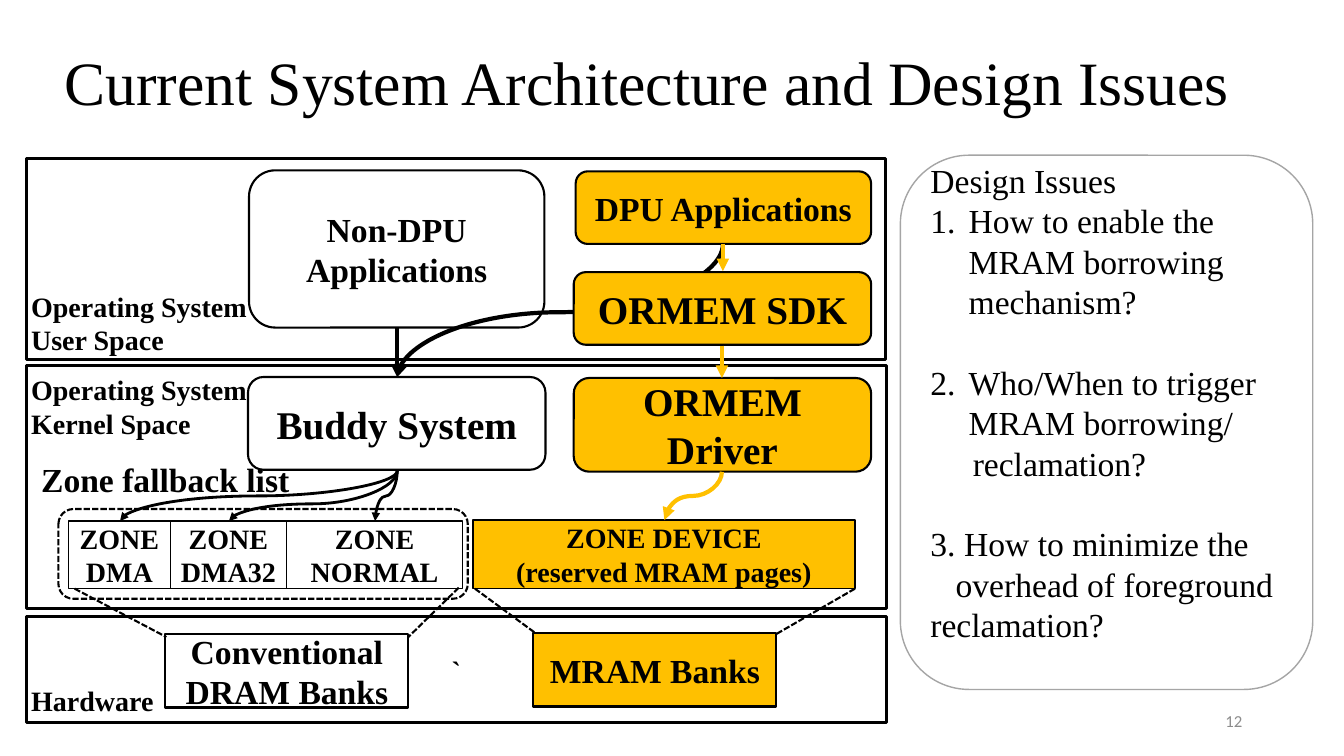
from lxml import etree
from pptx import Presentation
from pptx.dml.color import RGBColor
from pptx.enum.dml import MSO_LINE
from pptx.enum.shapes import MSO_CONNECTOR, MSO_SHAPE
from pptx.enum.text import MSO_ANCHOR, PP_ALIGN
from pptx.oxml.ns import qn
from pptx.util import Pt

PX = 9144
SERIF = "Times New Roman"
COLORS = {"ink": "000000", "paper": "FFFFFF", "amber": "FFC000",
          "frame": "A5A5A5", "number": "8C8C8C"}
RECT, ROUND = MSO_SHAPE.RECTANGLE, MSO_SHAPE.ROUNDED_RECTANGLE


def px(*lengths):
    return [length * PX for length in lengths]


def rgb(name):
    return RGBColor.from_string(COLORS[name])


def add_run(paragraph, text, size, bold=True, color="ink", font=SERIF):
    run = paragraph.add_run()
    run.text = text
    run.font.name = font
    run.font.size = Pt(size)
    run.font.bold = bold
    run.font.color.rgb = rgb(color)


def write(frame, lines, size, align=PP_ALIGN.CENTER, anchor=MSO_ANCHOR.MIDDLE, **style):
    frame.word_wrap = True
    frame.vertical_anchor = anchor
    for index, line in enumerate(lines):
        paragraph = frame.paragraphs[0] if index == 0 else frame.add_paragraph()
        paragraph.alignment = align
        add_run(paragraph, line, size, **style)
    return frame


def block(slide, box, lines=(), size=20, kind=RECT, fill="paper", line="ink",
          weight=1.5, dashed=False):
    shape = slide.shapes.add_shape(kind, *px(*box))
    shape.shadow.inherit = False
    if fill:
        shape.fill.solid()
        shape.fill.fore_color.rgb = rgb(fill)
    else:
        shape.fill.background()
    shape.line.color.rgb = rgb(line)
    shape.line.width = Pt(weight)
    if dashed:
        shape.line.dash_style = MSO_LINE.SQUARE_DOT
    write(shape.text_frame, lines, size)
    return shape


def label(slide, box, lines, size=20, align=PP_ALIGN.LEFT, anchor=MSO_ANCHOR.TOP, **style):
    frame = slide.shapes.add_textbox(*px(*box)).text_frame
    return write(frame, lines, size, align, anchor, **style)


def link(slide, start, end, color="ink", weight=1.5, dashed=False, arrow=False, bend=None):
    kind = MSO_CONNECTOR.STRAIGHT if bend is None else MSO_CONNECTOR.CURVE
    connector = slide.shapes.add_connector(kind, *px(*start, *end))
    properties = connector._element.spPr
    connector.line.color.rgb = rgb(color)
    connector.line.width = Pt(weight)
    if dashed:
        connector.line.dash_style = MSO_LINE.SQUARE_DOT
    if arrow:
        etree.SubElement(properties.find(qn("a:ln")), qn("a:tailEnd"), type="triangle")
    etree.SubElement(properties, qn("a:effectLst"))
    if bend is not None:
        turn_downward(connector, start, end, bend)


def turn_downward(connector, start, end, bend):
    across, down = start[0] - end[0], end[1] - start[1]
    center_x, center_y = (start[0] + end[0]) / 2, (start[1] + end[1]) / 2
    connector.left = round((center_x - down / 2) * PX)
    connector.top = round((center_y - across / 2) * PX)
    connector.width, connector.height = px(down, across)
    properties = connector._element.spPr
    frame = properties.find(qn("a:xfrm"))
    frame.attrib.pop("flipH", None)
    frame.set("rot", "5400000")
    guides = properties.find(qn("a:prstGeom")).get_or_add_avLst()
    etree.SubElement(guides, qn("a:gd"), name="adj1", fmla=f"val {bend * 1000}")


def heading(slide, box):
    frame = label(slide, box, ["Current System Architecture and Design Issues"], 44,
                  anchor=MSO_ANCHOR.MIDDLE, bold=False)
    frame.paragraphs[0].line_spacing = 0.9


def user_space(slide, box):
    x, y, w, h = box
    block(slide, box, weight=2)
    label(slide, (x - 5, y + 125, 239, 111), ["Operating System User Space"])
    block(slide, (x + 221, y + 12, 293, 156), ["Non-DPU Applications"], 24, ROUND)


def kernel_space(slide, box):
    x, y, w, h = box
    block(slide, box, weight=2)
    label(slide, (x - 5, y + 2, 481, 77), ["Operating System", "Kernel Space"])
    block(slide, (x + 220, y + 11, 295, 92), ["Buddy System"], 28, ROUND)
    block(slide, (x + 32, y + 142, 406, 89), kind=ROUND, dashed=True)
    zone_x = x + 42
    for width, suffix in ((101, "DMA"), (115, "DMA32"), (175, "NORMAL")):
        block(slide, (zone_x, y + 154, width, 67), ["ZONE", suffix], fill=None, weight=1)
        zone_x += width
    block(slide, (x + 443, y + 153, 379, 68), ["ZONE DEVICE", "(reserved MRAM pages)"],
          fill="amber", weight=1)
    label(slide, (x + 5, y + 87, 313, 50), ["Zone fallback list"], 24)


def hardware(slide, box):
    x, y, w, h = box
    block(slide, box, ["`"], weight=2)
    label(slide, (x - 5, y + 61, 149, 44), ["Hardware"])
    block(slide, (x + 138, y + 17, 241, 73), ["Conventional", "DRAM Banks"], 24, fill=None)
    block(slide, (x + 503, y + 16, 241, 73), ["MRAM Banks"], 24, fill="amber")


def memory_mapping(slide, box):
    x, y, w, h = box
    for zone_x, zone_y, bank_x, bank_y in ((0, 1, 91, 49), (381, 0, 331, 49),
                                           (397, 1, 457, 45), (774, 1, 696, 46)):
        link(slide, (x + zone_x, y + zone_y), (x + bank_x, y + bank_y), dashed=True)


def allocation_paths(slide, box):
    x, y, w, h = box
    buddy_x = x + 275
    link(slide, (buddy_x, y + 83), (buddy_x, y + 132), weight=3, arrow=True)
    link(slide, (x + w, y), (buddy_x, y + 132), weight=3, arrow=True, bend=51.3)
    for zone_x, bend in ((253, 50), (108, 65.8), (0, 50)):
        link(slide, (buddy_x, y + 225), (x + zone_x, y + h),
             weight=2, arrow=True, bend=bend)


def dpu_stack(slide, box):
    x, y, w, h = box
    block(slide, (x + 2, y, w - 2, 72), ["DPU Applications"], 24, ROUND, "amber")
    block(slide, (x, y + 100, w, 72), ["ORMEM SDK"], 28, ROUND, "amber")
    block(slide, (x, y + 205, w, 93), ["ORMEM Driver"], 28, ROUND, "amber")
    for center, top, bottom in ((148, 72, 99), (147, 173, 205)):
        link(slide, (x + center, y + top), (x + center, y + bottom),
             "amber", 3, arrow=True)
    link(slide, (x + 147, y + 298), (x + 90, y + h), "amber", 3, arrow=True, bend=50)


def design_issues(slide, box):
    panel = block(slide, box, kind=ROUND, line="frame", weight=1)
    frame = panel.text_frame
    frame.margin_bottom = 45 * PX
    issues = (("Design Issues", 0, 0, False, False),
              ("How to enable the MRAM borrowing mechanism?", 38, -38, True, False),
              ("Who/When to trigger MRAM borrowing/", 38, -38, True, True),
              ("reclamation?", 42, 0, False, False),
              ("3. How to minimize the overhead of foreground", 25, -25, False, True),
              ("reclamation?", 0, 0, False, False))
    for index, (text, margin, indent, numbered, gap) in enumerate(issues):
        paragraph = frame.paragraphs[0] if index == 0 else frame.add_paragraph()
        paragraph.alignment = PP_ALIGN.LEFT
        properties = paragraph._p.get_or_add_pPr()
        properties.set("marL", str(margin * PX))
        properties.set("indent", str(indent * PX))
        if numbered:
            etree.SubElement(properties, qn("a:buAutoNum"), type="arabicPeriod")
        if gap:
            paragraph.space_before = Pt(29)
        add_run(paragraph, text, 24, bold=False)


def page_number(slide, box):
    label(slide, box, ["12"], 12, PP_ALIGN.RIGHT, MSO_ANCHOR.MIDDLE,
          bold=False, color="number", font="Calibri")


def main():
    deck = Presentation()
    deck.slide_width, deck.slide_height = px(1333, 750)
    slide = deck.slides.add_slide(deck.slide_layouts[6])
    heading(slide, (54, 12, 1258, 145))
    user_space(slide, (26, 157, 852, 200))
    kernel_space(slide, (26, 363, 853, 241))
    hardware(slide, (26, 612, 853, 105))
    memory_mapping(slide, (74, 583, 774, 49))
    allocation_paths(slide, (119, 242, 598, 275))
    dpu_stack(slide, (569, 170, 295, 346))
    design_issues(slide, (893, 154, 409, 530))
    page_number(slide, (942, 695, 300, 40))
    deck.save("out.pptx")


if __name__ == "__main__":
    main()
